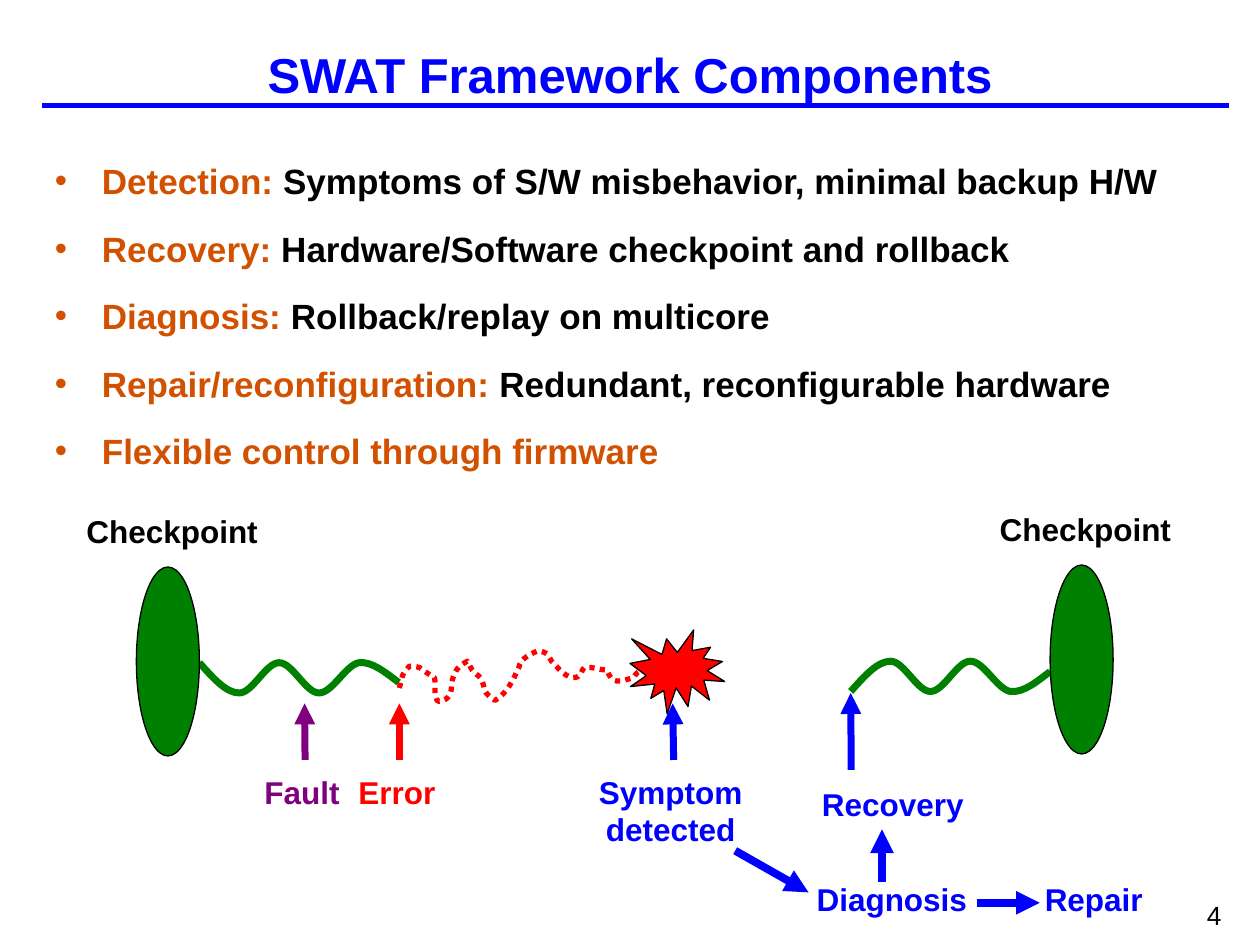
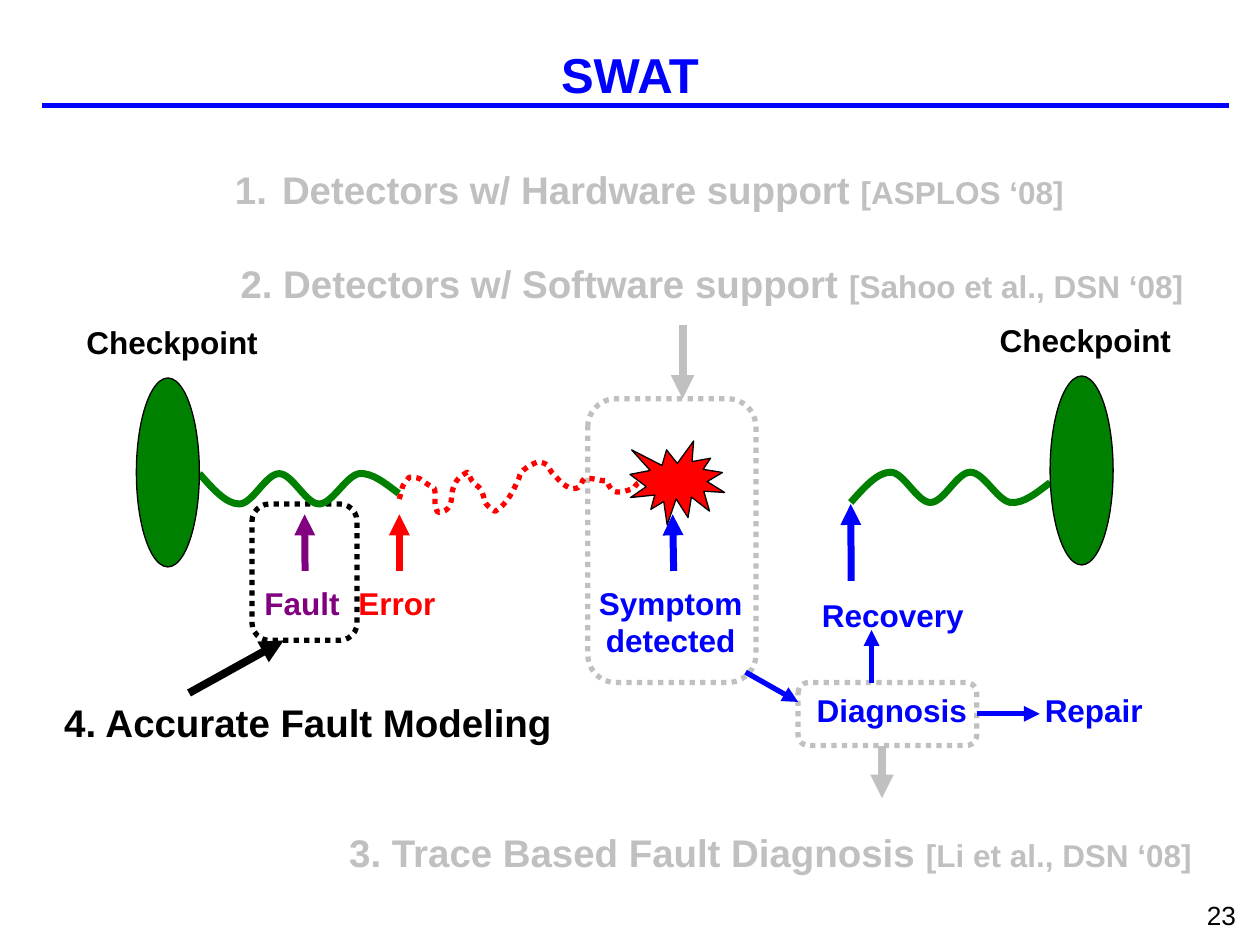
from dataclasses import dataclass

import lxml.etree
import pptx
import pptx.dml.color
import pptx.enum.dml
import pptx.enum.shapes
import pptx.enum.text
import pptx.oxml.ns
import pptx.shapes.base
import pptx.slide
import pptx.util

Cm = pptx.util.Cm
Color = pptx.dml.color.RGBColor
Shape = pptx.enum.shapes.MSO_SHAPE
Align = pptx.enum.text.PP_ALIGN
Fit = pptx.enum.text.MSO_AUTO_SIZE

BLUE = Color(0x00, 0x00, 0xFF)
RED = Color(0xFF, 0x00, 0x00)
GREEN = Color(0x00, 0x80, 0x00)
PURPLE = Color(0x80, 0x00, 0x80)
ORANGE = Color(0xD1, 0x51, 0x00)
GRAY = Color(0xC0, 0xC0, 0xC0)
BLACK = Color(0x00, 0x00, 0x00)
FONT = "Arial"
INDENT = 0.95
RISE = 3.81  # how far the scene moves up on the second slide


@dataclass
class Label:
    text: str
    left: float
    top: float
    width: float
    color: Color = BLUE
    height: float = 1.02
    size: float = 18
    note: str = ""
    align: Align = Align.CENTER
    space: float = 1.0
    number: bool = False


@dataclass
class Arrow:
    """A line with its tip at (x2, y2)."""
    x1: float
    y1: float
    x2: float
    y2: float
    color: Color = BLUE
    width: float = 4


@dataclass
class Form:
    kind: Shape
    left: float
    top: float
    width: float
    height: float
    fill: Color | None = None
    line: Color = BLACK
    weight: float = 0.75


FORMS = [
    Form(Shape.OVAL, 2.75, 11.43, 1.27, 3.81, GREEN),
    Form(Shape.OVAL, 21.17, 11.39, 1.27, 3.81, GREEN),
    Form(Shape.EXPLOSION1, 12.7, 12.7, 1.91, 1.69, RED),
]
LABELS = [
    Label("Checkpoint", 1.44, 10.2, 4.06, BLACK),
    Label("Checkpoint", 19.85, 10.16, 4.06, BLACK),
    Label("Fault", 4.99, 15.45, 2.2, PURPLE),
    Label("Error", 6.9, 15.45, 2.2, RED),
    Label("Symptom\ndetected", 11.77, 15.45, 3.5, height=1.78),
    Label("Recovery", 16.25, 15.7, 3.5),
    Label("Diagnosis", 16.13, 17.61, 3.7),
    Label("Repair", 20.75, 17.61, 2.6),
]
ARROWS = [
    Arrow(6.15, 15.32, 6.14, 14.18, PURPLE),
    Arrow(8.05, 15.32, 8.05, 14.18, RED),
    Arrow(13.58, 15.32, 13.56, 14.18),
    Arrow(17.16, 15.52, 17.15, 13.97),
]
# Bezier heights of a healthy run, at equal steps across
WAVE = [0.03, 0.33, 0.64, 0.64, 0.64, 0.03, 0.03, 0.03,
        0.64, 0.64, 0.64, 0.08, 0.03, 0, 0.23, 0.43]
STEP = 4.02 / 15
# Bezier points of the faulty run
JITTER = [
    (0, 0.74), (0.1, 0.38), (0.03, 0.53), (0.2, 0.3),
    (0.25, 0.3), (0.33, 0.3), (0.41, 0.33),
    (0.51, 0.41), (0.71, 0.53), (0.71, 0.53),
    (0.74, 0.69), (0.69, 0.86), (0.76, 0.99),
    (0.81, 1.04), (0.91, 0.99), (0.97, 0.94),
    (1.07, 0.86), (1.04, 0.71), (1.07, 0.58),
    (1.12, 0.38), (1.19, 0.3), (1.37, 0.2),
    (1.42, 0.25), (1.42, 0.33), (1.47, 0.38),
    (1.52, 0.46), (1.6, 0.48), (1.63, 0.53),
    (1.78, 0.79), (1.63, 0.79), (1.93, 0.99),
    (2.18, 0.84), (2.29, 0.58), (2.41, 0.33),
    (2.44, 0.3), (2.41, 0.23), (2.46, 0.2),
    (2.54, 0.1), (2.77, 0), (2.77, 0),
    (2.82, 0), (2.92, 0), (2.97, 0.05),
    (3.02, 0.08), (3.02, 0.15), (3.07, 0.2),
    (3.2, 0.33), (3.3, 0.48), (3.48, 0.53),
    (3.53, 0.53), (3.61, 0.53), (3.63, 0.48),
    (3.68, 0.46), (3.68, 0.36), (3.73, 0.33),
    (3.89, 0.3), (4.04, 0.38), (4.19, 0.38),
    (4.29, 0.69), (4.45, 0.61), (4.72, 0.53),
    (4.85, 0.33), (4.9, 0.41), (5.08, 0.25),
]
PARTS = [
    ("Detection: ", "Symptoms of S/W misbehavior, minimal backup H/W"),
    ("Recovery: ", "Hardware/Software checkpoint and rollback"),
    ("Diagnosis: ", "Rollback/replay on multicore"),
    ("Repair/reconfiguration:", " Redundant, reconfigurable hardware"),
    ("Flexible control through firmware", ""),
]
FLOW = [
    Arrow(14.82, 17.15, 16.3, 17.99, width=4.5),
    Arrow(19.69, 18.2, 20.96, 18.2, width=4.5),
    Arrow(17.78, 17.78, 17.78, 16.72, width=4.5),
]
FRAMES = [
    Form(Shape.ROUNDED_RECTANGLE, 5.08, 10.16, 2.12, 2.75, weight=3),
    Form(Shape.ROUNDED_RECTANGLE, 11.85, 8.04, 3.39, 5.72, line=GRAY, weight=3),
    Form(Shape.ROUNDED_RECTANGLE, 16.09, 13.76, 3.6, 1.27, line=GRAY, weight=3),
]
TOPICS = [
    Label("Detectors w/ Hardware support ", 4.48, 2.75, 17.22, GRAY, 1.65, 22,
          "[ASPLOS ‘08]", space=1.5, number=True),
    Label("2. Detectors w/ Software support ", 4.6, 4.65, 19.51, GRAY, 1.65, 22,
          "[Sahoo et al., DSN ‘08]", Align.LEFT, 1.5),
    Label("3. Trace Based Fault Diagnosis ", 5.82, 16.13, 19.43, GRAY, 1.65, 22,
          "[Li et al., DSN ‘08]", space=1.5),
    Label("4. Accurate Fault Modeling", 0.47, 13.97, 11.48, BLACK, 1.19, 22),
]
LINKS = [
    Arrow(15.03, 13.55, 16.09, 14.15, width=3),
    Arrow(19.69, 14.39, 20.96, 14.39, width=3),
    Arrow(17.57, 13.76, 17.57, 12.7, width=3),
    Arrow(17.78, 15.03, 17.78, 16.09, GRAY, 4.5),
    Arrow(13.76, 6.56, 13.76, 8.04, GRAY, 4.5),
    Arrow(3.81, 13.97, 5.72, 12.91, BLACK, 4.5),
]


def add_tag(parent: lxml.etree.ElementBase, tag: str, **attrs: str):
    return lxml.etree.SubElement(parent, pptx.oxml.ns.qn(tag), attrs)


def write(para, text: str, *, size: float = 18, color: Color = BLACK,
          bold: bool = True) -> None:
    run = para.add_run()
    run.text = text
    run.font.name = FONT
    run.font.size = pptx.util.Pt(size)
    run.font.bold = bold
    run.font.color.rgb = color


def mark(para, color: Color, tag: str, **attrs: str) -> None:
    """Give a paragraph a hanging bullet or number."""
    props = para._p.get_or_add_pPr()
    props.set("marL", str(Cm(INDENT)))
    props.set("indent", str(-Cm(INDENT)))
    add_tag(add_tag(props, "a:buClr"), "a:srgbClr", val=str(color))
    add_tag(props, "a:buFont", typeface=FONT)
    add_tag(props, tag, **attrs)


def place(shape: pptx.shapes.base.BaseShape, left: float, top: float,
          width: float, height: float) -> None:
    shape.left, shape.top = Cm(left), Cm(top)
    shape.width, shape.height = Cm(width), Cm(height)


def add_label(slide: pptx.slide.Slide, label: Label, rise: float = 0) -> None:
    box = slide.shapes.add_textbox(Cm(label.left), Cm(label.top - rise),
                                   Cm(label.width), Cm(label.height))
    frame = box.text_frame
    frame.word_wrap = False
    frame.auto_size = Fit.SHAPE_TO_FIT_TEXT
    for i, text in enumerate(label.text.split("\n")):
        para = frame.add_paragraph() if i else frame.paragraphs[0]
        if label.number:
            mark(para, label.color, "a:buAutoNum", type="arabicPeriod")
        para.alignment = label.align
        para.line_spacing = label.space
        write(para, text, size=label.size, color=label.color)
        if label.note:
            write(para, label.note, color=label.color)


def add_line(slide: pptx.slide.Slide, arrow: Arrow, rise: float = 0,
             tip: bool = True) -> None:
    line = slide.shapes.add_connector(
        pptx.enum.shapes.MSO_CONNECTOR.STRAIGHT,
        Cm(arrow.x1), Cm(arrow.y1 - rise), Cm(arrow.x2), Cm(arrow.y2 - rise))
    line.line.color.rgb = arrow.color
    line.line.width = pptx.util.Pt(arrow.width)
    if tip:
        add_tag(line.line._get_or_add_ln(), "a:tailEnd", type="triangle")
    add_tag(line._element.spPr, "a:effectLst")


def paint(shape, line: Color, weight: float, fill: Color | None = None,
          dots: bool = False) -> None:
    shape.shadow.inherit = False
    if fill is None:
        shape.fill.background()
    else:
        shape.fill.solid()
        shape.fill.fore_color.rgb = fill
    shape.line.color.rgb = line
    shape.line.width = pptx.util.Pt(weight)
    if dots:
        shape.line.dash_style = pptx.enum.dml.MSO_LINE.ROUND_DOT


def add_form(slide: pptx.slide.Slide, form: Form, rise: float = 0) -> None:
    shape = slide.shapes.add_shape(form.kind, Cm(form.left), Cm(form.top - rise),
                                   Cm(form.width), Cm(form.height))
    paint(shape, form.line, form.weight, form.fill, dots=form.fill is None)


def add_curve(slide: pptx.slide.Slide, knots: list[tuple[float, float]],
              color: Color, weight: float, dots: bool = False) -> None:
    """Draw a chain of cubic Bezier arcs, three knots to an arc."""
    start, *rest = [(Cm(x), Cm(y)) for x, y in knots]
    pen = slide.shapes.build_freeform(*start)
    pen.add_line_segments(rest, close=False)
    shape = pen.convert_to_shape()
    trail = next(shape._element.iter(pptx.oxml.ns.qn("a:path")))
    steps = trail.findall(pptx.oxml.ns.qn("a:lnTo"))
    for i, step in enumerate(steps):
        if i % 3 == 0:
            arc = add_tag(trail, "a:cubicBezTo")
        arc.append(step[0])
        trail.remove(step)
    paint(shape, color, weight, dots=dots)


def add_scene(slide: pptx.slide.Slide, rise: float = 0) -> None:
    """Draw the run from checkpoint to checkpoint."""
    for left, base, sign in ((4.02, 13.33, 1), (17.15, 13.97, -1)):
        knots = [(left + i * STEP, base - rise + sign * y) for i, y in enumerate(WAVE)]
        add_curve(slide, knots, GREEN, 4)
    add_curve(slide, [(8.05 + x, 13.13 - rise + y) for x, y in JITTER], RED, 3, dots=True)
    for form in FORMS:
        add_form(slide, form, rise)
    for arrow in ARROWS:
        add_line(slide, arrow, rise)
    for label in LABELS:
        add_label(slide, label, rise)


def add_slide(deck, layout: int, title: str, page: str) -> pptx.slide.Slide:
    slide = deck.slides.add_slide(deck.slide_layouts[layout])
    head = slide.shapes.title
    place(head, 0, 0.42, 25.4, 2.12)
    head.text_frame.vertical_anchor = pptx.enum.text.MSO_ANCHOR.MIDDLE
    head.text_frame.auto_size = Fit.NONE
    para = head.text_frame.paragraphs[0]
    para.alignment = Align.CENTER
    write(para, title, size=28, color=BLUE)
    add_line(slide, Arrow(0.85, 2.12, 24.77, 2.12, width=3), tip=False)
    foot = slide.shapes.add_textbox(Cm(24.08), Cm(18), Cm(1.32), Cm(0.89))
    foot.text_frame.word_wrap = True
    write(foot.text_frame.paragraphs[0], page, size=15, bold=False)
    return slide


def add_list(slide: pptx.slide.Slide) -> None:
    body = slide.placeholders[1]
    place(body, 0.85, 2.75, 23.92, 6.77)
    frame = body.text_frame
    frame.auto_size = Fit.NONE
    for i, (name, text) in enumerate(PARTS):
        para = frame.add_paragraph() if i else frame.paragraphs[0]
        mark(para, ORANGE, "a:buChar", char="•")
        para.line_spacing = 1.4
        para.space_before = pptx.util.Pt(5 if i else 0)
        write(para, name, size=20, color=ORANGE)
        if text:
            write(para, text, size=20)


def main() -> None:
    deck = pptx.Presentation()
    deck.slide_width, deck.slide_height = Cm(25.4), Cm(19.05)

    slide = add_slide(deck, 1, "SWAT Framework Components", "4")
    add_list(slide)
    add_scene(slide)
    for arrow in FLOW:
        add_line(slide, arrow)

    slide = add_slide(deck, 5, "SWAT", "23")
    for frame in FRAMES:
        add_form(slide, frame)
    for topic in TOPICS:
        add_label(slide, topic)
    add_scene(slide, RISE)
    for arrow in LINKS:
        add_line(slide, arrow)

    deck.save("out.pptx")


if __name__ == "__main__":
    main()
